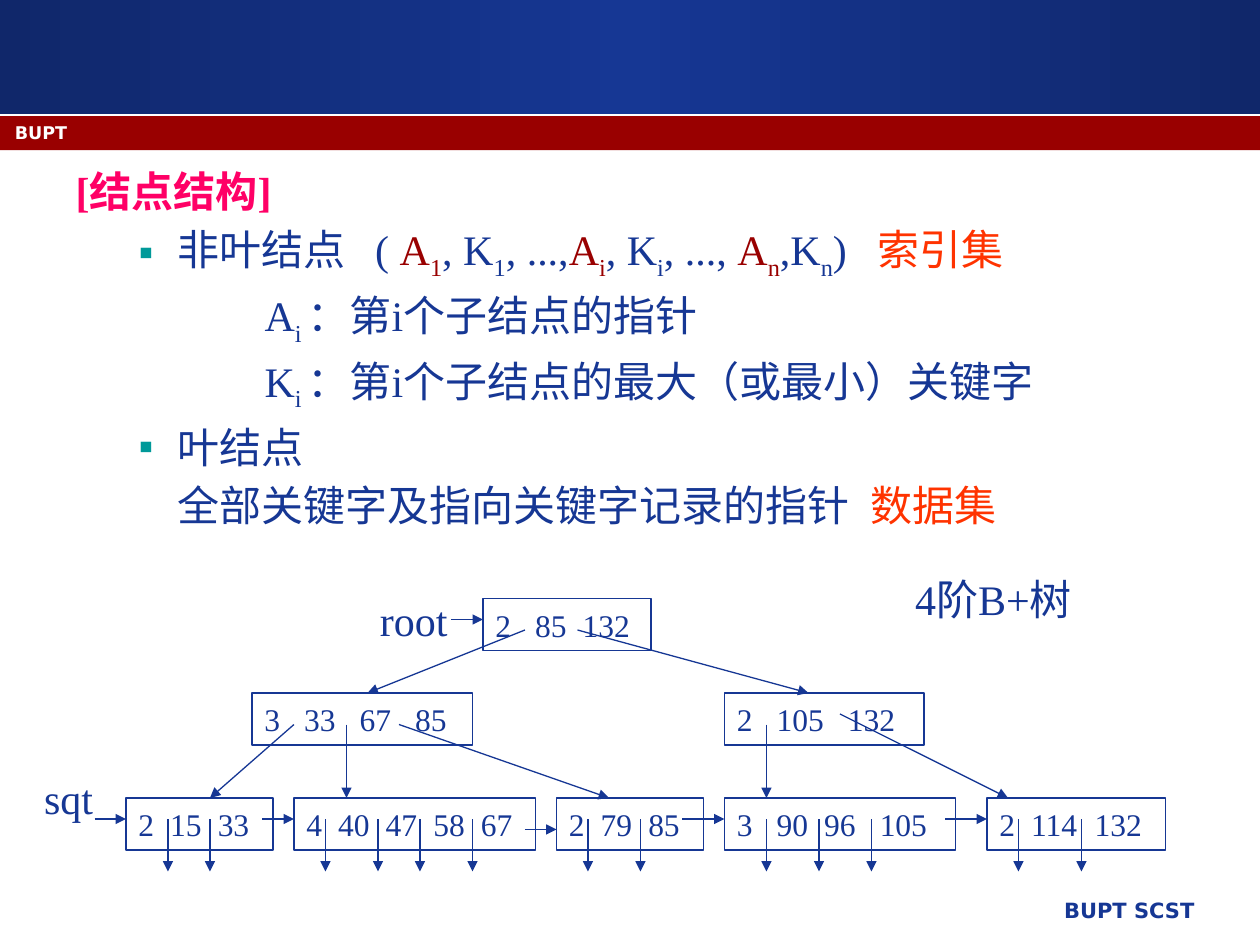
from copy import deepcopy
from lxml.etree import SubElement
from pptx import Presentation
from pptx.dml.color import RGBColor
from pptx.enum.shapes import MSO_CONNECTOR, MSO_SHAPE
from pptx.enum.text import MSO_ANCHOR, MSO_AUTO_SIZE, PP_ALIGN
from pptx.oxml.ns import qn
from pptx.util import Cm, Pt

NAVY = RGBColor(0x16, 0x37, 0x94)
DARK_NAVY = RGBColor(0x10, 0x27, 0x6A)
RED = RGBColor(0x99, 0x00, 0x00)
ORANGE = RGBColor(0xFF, 0x33, 0x00)
PINK = RGBColor(0xFF, 0x00, 0x66)
TEAL = RGBColor(0x00, 0x99, 0x99)
WHITE = RGBColor(0xFF, 0xFF, 0xFF)
SERIF, SANS = "Times New Roman", "DejaVu Sans"
GRID = 2.54 / 12  # the tree sits on a grid of twelfths of an inch, in cm
DIGIT, SPACE = 0.32, 0.16  # widths in 18 pt type, in cm


def add_tabs(para, stops):
    tabs = SubElement(para._p.get_or_add_pPr(), qn("a:tabLst"))
    for stop in stops:
        SubElement(tabs, qn("a:tab"), pos=str(Cm(stop)), algn="l")


def set_font(font, name, size, color, bold=False):
    font.name, font.size, font.bold = name, Pt(size), bold
    font.color.rgb = color


deck = Presentation()
deck.slide_width, deck.slide_height = Cm(25.4), Cm(19.05)
page = deck.slides.add_slide(deck.slide_layouts[1])
title = page.shapes.title
title._element.getparent().remove(title._element)

# Header bands
band = page.shapes.add_shape(MSO_SHAPE.RECTANGLE, 0, 0, Cm(25.4), Cm(2.31))
band.fill.gradient()
band.fill.gradient_angle = 0
first_stop = band._element.spPr.find(".//" + qn("a:gs"))
first_stop.addnext(deepcopy(first_stop))
for stop, place, color in zip(band.fill.gradient_stops, (0, 0.5, 1),
                              (DARK_NAVY, NAVY, DARK_NAVY)):
    stop.position = place
    stop.color.rgb = color
stripe = page.shapes.add_shape(MSO_SHAPE.RECTANGLE, 0, Cm(2.34), Cm(25.4), Cm(0.69))
stripe.fill.solid()
stripe.fill.fore_color.rgb = RED
for shape in (band, stripe):
    shape.line.fill.background()
    shape.shadow.inherit = False

# Free labels: text, left, top, width, height, font, size, colour, bold, alignment
labels = [
    ("BUPT SCST", 10.69, 17.96, 13.64, 0.89, SANS, 12, NAVY, True, PP_ALIGN.RIGHT),
    ("BUPT", 0.05, 2.34, 23.5, 0.64, SANS, 10, WHITE, True, PP_ALIGN.LEFT),
    ("4阶B+树", 18.2, 11.43, 4.66, 1.27, SERIF, 24, NAVY, False, PP_ALIGN.LEFT),
    ("root", 7.41, 11.85, 3.39, 1.27, SERIF, 24, NAVY, False, PP_ALIGN.LEFT),
    ("sqt", 0.64, 15.45, 2.12, 1.27, SERIF, 24, NAVY, False, PP_ALIGN.LEFT),
]
for text, left, top, width, height, name, size, color, bold, align in labels:
    box = page.shapes.add_textbox(Cm(left), Cm(top), Cm(width), Cm(height))
    box.text_frame.word_wrap = True
    para = box.text_frame.paragraphs[0]
    para.text, para.alignment = text, align
    set_font(para.font, name, size, color, bold)

# Body text: level, margin, indent, bullet, tab stops, runs (text, colour, subscript)
body = page.placeholders[1]
body.left, body.top, body.width, body.height = Cm(1.27), Cm(3.2), Cm(22.86), Cm(14.58)
frame = body.text_frame
frame.auto_size = MSO_AUTO_SIZE.NONE
frame.vertical_anchor = MSO_ANCHOR.TOP
lines = [
    (0, 0.97, -0.97, False, [], [("[结点结构]", PINK, False)]),
    (1, 2.06, -0.79, True, [6.04, 16.17], [
        ("非叶结点\t( ", NAVY, False), ("A", RED, False), ("1", RED, True),
        (", K", NAVY, False), ("1", NAVY, True), (", ...,", NAVY, False),
        ("A", RED, False), ("i", RED, True), (", K", NAVY, False),
        ("i", NAVY, True), (", ..., ", NAVY, False), ("A", RED, False),
        ("n", RED, True), (",K", NAVY, False), ("n", NAVY, True),
        (")\t", NAVY, False), ("索引集", ORANGE, False)]),
    (3, 4.45, -0.64, False, [], [("A", NAVY, False), ("i ", NAVY, True),
                                 ("：第i个子结点的指针", NAVY, False)]),
    (3, 4.45, -0.64, False, [], [("K", NAVY, False), ("i ", NAVY, True),
                                 ("：第i个子结点的最大（或最小）关键字", NAVY, False)]),
    (1, 2.06, -0.79, True, [], [("叶结点", NAVY, False)]),
    (1, 2.06, 0, False, [16.33], [("全部关键字及指向关键字记录的指针\t", NAVY, False),
                                  ("数据集", ORANGE, False)]),
]
for number, (level, margin, indent, bullet, stops, runs) in enumerate(lines):
    para = frame.add_paragraph() if number else frame.paragraphs[0]
    para.level = level
    props = para._p.get_or_add_pPr()
    props.set("marL", str(Cm(margin)))
    props.set("indent", str(Cm(indent)))
    if bullet:
        SubElement(SubElement(props, qn("a:buClr")), qn("a:srgbClr"), val=str(TEAL))
        SubElement(props, qn("a:buChar"), char="▪")
    else:
        SubElement(props, qn("a:buNone"))
    if stops:
        add_tabs(para, stops)
    if number == 0:
        para.space_before = Pt(0)
    for text, color, subscript in runs:
        span = para.add_run()
        span.text = text
        set_font(span.font, SERIF, 24, color, bold=number == 0)
        if subscript:
            span._r.get_or_add_rPr().set("baseline", "-25000")

# Tree nodes: left, top, width in grid units, keys, gaps between keys in spaces
nodes = [
    (46, 57, 16, "2 85 132", (3, 2)),
    (24, 66, 21, "3 33 67 85", (3, 3, 3)),
    (69, 66, 19, "2 105 132", (3, 3)),
    (12, 76, 14, "2 15 33", (2, 2)),
    (28, 76, 23, "4 40 47 58 67", (2, 2, 2, 2)),
    (53, 76, 14, "2 79 85", (2, 2)),
    (69, 76, 22, "3 90 96 105", (3, 2, 3)),
    (94, 76, 17, "2 114 132", (2, 2)),
]
for left, top, width, keys, gaps in nodes:
    node = page.shapes.add_shape(MSO_SHAPE.RECTANGLE, Cm(left * GRID), Cm(top * GRID),
                                 Cm(width * GRID), Cm(1.05))
    node.shadow.inherit = False
    node.fill.background()
    node.line.color.rgb = NAVY
    node.line.width = Pt(0.75)
    node.text_frame.word_wrap = True
    node.text_frame.auto_size = MSO_AUTO_SIZE.SHAPE_TO_FIT_TEXT
    para = node.text_frame.paragraphs[0]
    para.text = keys.replace(" ", "\t")
    para.alignment = PP_ALIGN.LEFT
    stops, reach = [], 0
    for key, gap in zip(keys.split(), gaps):
        reach += len(key) * DIGIT + gap * SPACE
        stops.append(reach)
    add_tabs(para, stops)
    set_font(para.font, SERIF, 18, NAVY)

# Arrows in grid units: to children, along the leaves, down to the records
arrows = [
    (50, 60, 35, 66), (55, 60, 77, 66),
    (28, 69, 20, 76), (33, 69, 33, 76), (38, 69, 58, 76),
    (73, 69, 73, 76), (80, 68, 96, 76),
    (43, 59, 46, 59), (9, 78, 12, 78), (25, 78, 28, 78),
    (50, 79, 53, 79), (65, 78, 69, 78), (90, 78, 94, 78),
]
arrows += [(x, 78, x, 83) for x in (16, 20, 31, 36, 40, 45, 56, 61, 73, 78, 83, 97, 103)]
for ends in arrows:
    arrow = page.shapes.add_connector(MSO_CONNECTOR.STRAIGHT, *(Cm(n * GRID) for n in ends))
    arrow.line.color.rgb = NAVY
    arrow.line.width = Pt(0.75)
    SubElement(arrow.line._get_or_add_ln(), qn("a:tailEnd"), type="triangle")
    SubElement(arrow._element.spPr, qn("a:effectLst"))

deck.save("out.pptx")
